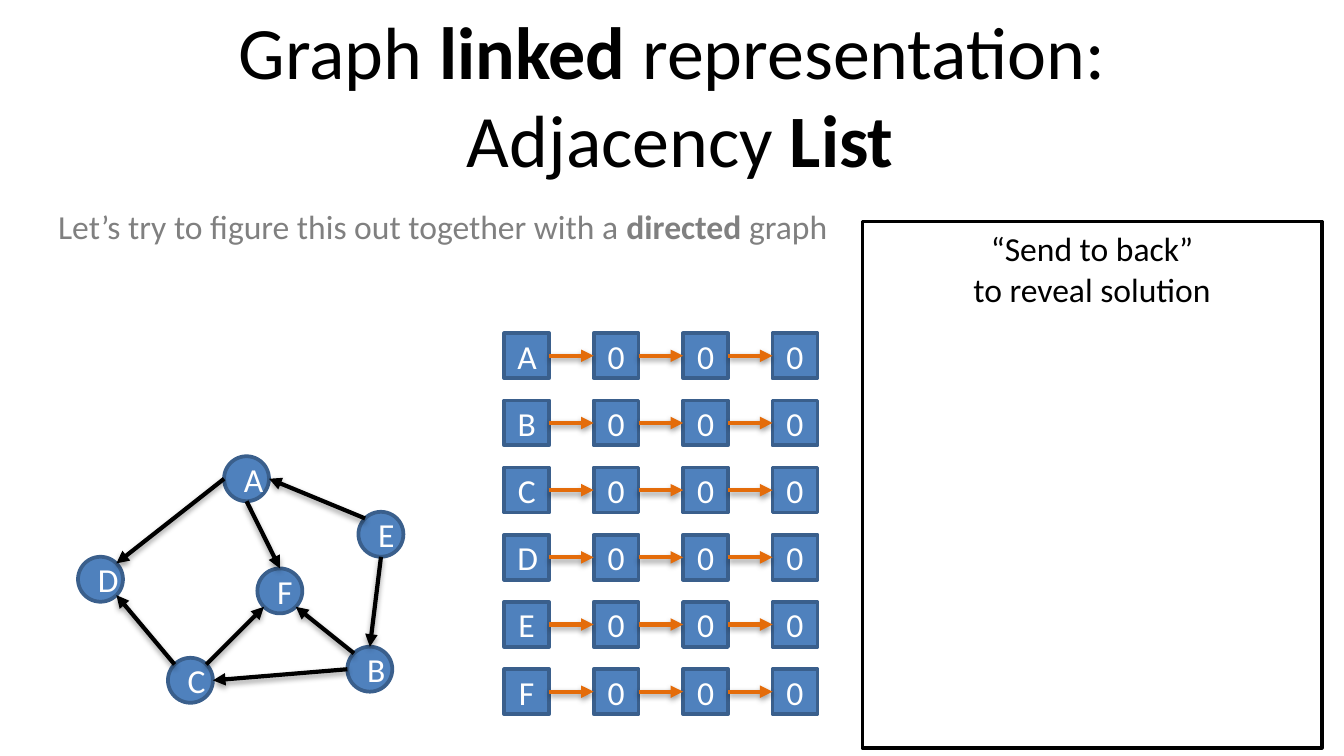
from dataclasses import dataclass
from math import cos, radians, sin

from lxml.etree import SubElement
from pptx import Presentation
from pptx.dml.color import RGBColor
from pptx.enum.shapes import MSO_CONNECTOR, MSO_SHAPE
from pptx.enum.text import MSO_ANCHOR, MSO_AUTO_SIZE, PP_ALIGN
from pptx.oxml.ns import qn
from pptx.shapes.autoshape import Shape
from pptx.shapes.connector import Connector
from pptx.slide import Slide
from pptx.text.text import _Paragraph as Paragraph
from pptx.util import Cm, Pt


@dataclass(frozen=True)
class Theme:
    """Colours, font and type sizes of the slide."""
    font: str = "Calibri"
    black: str = "000000"
    white: str = "FFFFFF"
    grey: str = "808080"
    node_fill: str = "4F81BD"
    node_line: str = "3A5F8C"
    link: str = "E46C0A"
    title_size: float = 39.6
    text_size: float = 18
    outline_width: float = 2
    arrow_width: float = 2.25


@dataclass(frozen=True)
class Node:
    """A graph node by its centre in centimetres."""
    label: str
    x: float
    y: float

    def site(self, index: int) -> tuple[float, float]:
        """Return the rim point, counted in eighths anticlockwise from the top."""
        angle = radians(90 + 45 * index)
        return self.x + NODE_SIZE / 2 * cos(angle), self.y - NODE_SIZE / 2 * sin(angle)


@dataclass(frozen=True)
class Edge:
    """A directed edge between rim points of two nodes."""
    source: str
    source_site: int
    target: str
    target_site: int


THEME = Theme()
NODE_SIZE = 0.85
LIST_LEFT, LIST_TOP = 9.53, 6.3
COLUMN_STEP, ROW_STEP = 1.69, 1.27
NODES = {node.label: node for node in (
    Node("A", 4.66, 9.05), Node("C", 3.6, 12.86), Node("B", 6.99, 12.65),
    Node("D", 1.9, 10.95), Node("E", 7.2, 10.1), Node("F", 5.29, 11.17))}
EDGES = (
    Edge("A", 2, "D", 7), Edge("C", 1, "D", 5), Edge("C", 7, "F", 3), Edge("B", 1, "F", 5),
    Edge("E", 4, "B", 0), Edge("E", 1, "A", 6), Edge("B", 2, "C", 6), Edge("A", 4, "F", 0))


def add_run(paragraph: Paragraph, text: str, color: str,
            size: float = THEME.text_size, bold: bool = False) -> None:
    """Append one formatted run."""
    run = paragraph.add_run()
    run.text = text
    run.font.name = THEME.font
    run.font.size = Pt(size)
    run.font.bold = bold
    run.font.color.rgb = RGBColor.from_string(color)


def add_box(slide: Slide, kind: MSO_SHAPE, left: float, top: float, width: float, height: float,
            lines: tuple[str, ...], fill: str = THEME.node_fill, outline: str = THEME.node_line,
            color: str = THEME.white) -> Shape:
    """Draw an outlined shape with centred lines of text."""
    shape = slide.shapes.add_shape(kind, Cm(left), Cm(top), Cm(width), Cm(height))
    shape.shadow.inherit = False
    shape.fill.solid()
    shape.fill.fore_color.rgb = RGBColor.from_string(fill)
    shape.line.color.rgb = RGBColor.from_string(outline)
    shape.line.width = Pt(THEME.outline_width)
    frame = shape.text_frame
    for index, line in enumerate(lines):
        paragraph = frame.add_paragraph() if index else frame.paragraphs[0]
        paragraph.alignment = PP_ALIGN.CENTER
        add_run(paragraph, line, color)
    return shape


def add_arrow(slide: Slide, start: tuple[float, float], end: tuple[float, float],
              color: str) -> Connector:
    """Draw a straight arrow with a soft shadow below it."""
    arrow = slide.shapes.add_connector(
        MSO_CONNECTOR.STRAIGHT, *(Cm(value) for value in (*start, *end)))
    arrow.line.width = Pt(THEME.arrow_width)
    arrow.line.color.rgb = RGBColor.from_string(color)
    properties = arrow._element.spPr
    SubElement(properties.find(qn("a:ln")), qn("a:tailEnd"), type="triangle")
    effects = SubElement(properties, qn("a:effectLst"))
    shadow = SubElement(effects, qn("a:outerShdw"), blurRad=str(Pt(3.1)), dist=str(Pt(1.6)),
                        dir="5400000", rotWithShape="0")
    shadow_color = SubElement(shadow, qn("a:srgbClr"), val=THEME.black)
    SubElement(shadow_color, qn("a:alpha"), val="38000")
    return arrow


def add_title(slide: Slide) -> None:
    """Fill the title placeholder."""
    title = slide.shapes.title
    title.left, title.top, title.width, title.height = Cm(1.27), Cm(0.58), Cm(22.86), Cm(2.39)
    frame = title.text_frame
    frame.auto_size = MSO_AUTO_SIZE.NONE
    frame.vertical_anchor = MSO_ANCHOR.MIDDLE
    paragraph = frame.paragraphs[0]
    paragraph.alignment = PP_ALIGN.CENTER
    add_run(paragraph, "Graph ", THEME.black, THEME.title_size)
    add_run(paragraph, "linked", THEME.black, THEME.title_size, True)
    add_run(paragraph, " representation:", THEME.black, THEME.title_size)
    paragraph.add_line_break()
    line_break = paragraph._p.find(qn("a:br"))
    SubElement(line_break, qn("a:rPr"), sz=str(round(THEME.title_size * 100)))
    add_run(paragraph, " Adjacency ", THEME.black, THEME.title_size)
    add_run(paragraph, "List", THEME.black, THEME.title_size, True)


def add_prompt(slide: Slide) -> None:
    """Write the invitation above the graph."""
    box = slide.shapes.add_textbox(Cm(0.85), Cm(3.76), Cm(15.19), Cm(1.03))
    box.text_frame.word_wrap = False
    box.text_frame.auto_size = MSO_AUTO_SIZE.SHAPE_TO_FIT_TEXT
    paragraph = box.text_frame.paragraphs[0]
    add_run(paragraph, "Let’s try to figure this out together with a ", THEME.grey)
    add_run(paragraph, "directed", THEME.grey, bold=True)
    add_run(paragraph, " graph", THEME.grey)


def add_graph(slide: Slide) -> None:
    """Draw the directed graph."""
    for node in NODES.values():
        add_box(slide, MSO_SHAPE.OVAL, node.x - NODE_SIZE / 2, node.y - NODE_SIZE / 2,
                NODE_SIZE, NODE_SIZE, (node.label,))
    for edge in EDGES:
        add_arrow(slide, NODES[edge.source].site(edge.source_site),
                  NODES[edge.target].site(edge.target_site), THEME.black)


def add_adjacency_list(slide: Slide) -> None:
    """Draw one chain of linked cells for each node."""
    for row, label in enumerate(sorted(NODES)):
        top = LIST_TOP + row * ROW_STEP
        middle = top + NODE_SIZE / 2
        cells = [add_box(slide, MSO_SHAPE.RECTANGLE, LIST_LEFT + column * COLUMN_STEP, top,
                         NODE_SIZE, NODE_SIZE, (text,))
                 for column, text in enumerate((label, "0", "0", "0"))]
        for cell, following in zip(cells, cells[1:]):
            arrow = add_arrow(slide, (cell.left.cm + NODE_SIZE, middle),
                              (following.left.cm, middle), THEME.link)
            arrow.begin_connect(cell, 3)
            arrow.end_connect(following, 1)


def main() -> None:
    """Build and save the slide."""
    presentation = Presentation()
    presentation.slide_width, presentation.slide_height = Cm(25.4), Cm(14.29)
    slide = presentation.slides.add_slide(presentation.slide_layouts.get_by_name("Title Only"))
    add_title(slide)
    add_graph(slide)
    add_prompt(slide)
    add_adjacency_list(slide)
    cover = add_box(slide, MSO_SHAPE.RECTANGLE, 16.3, 4.19, 8.68, 9.95,
                    ("“Send to back”", "to reveal solution"),
                    THEME.white, THEME.black, THEME.black)
    cover.text_frame.vertical_anchor = MSO_ANCHOR.TOP
    presentation.save("out.pptx")


if __name__ == "__main__":
    main()
